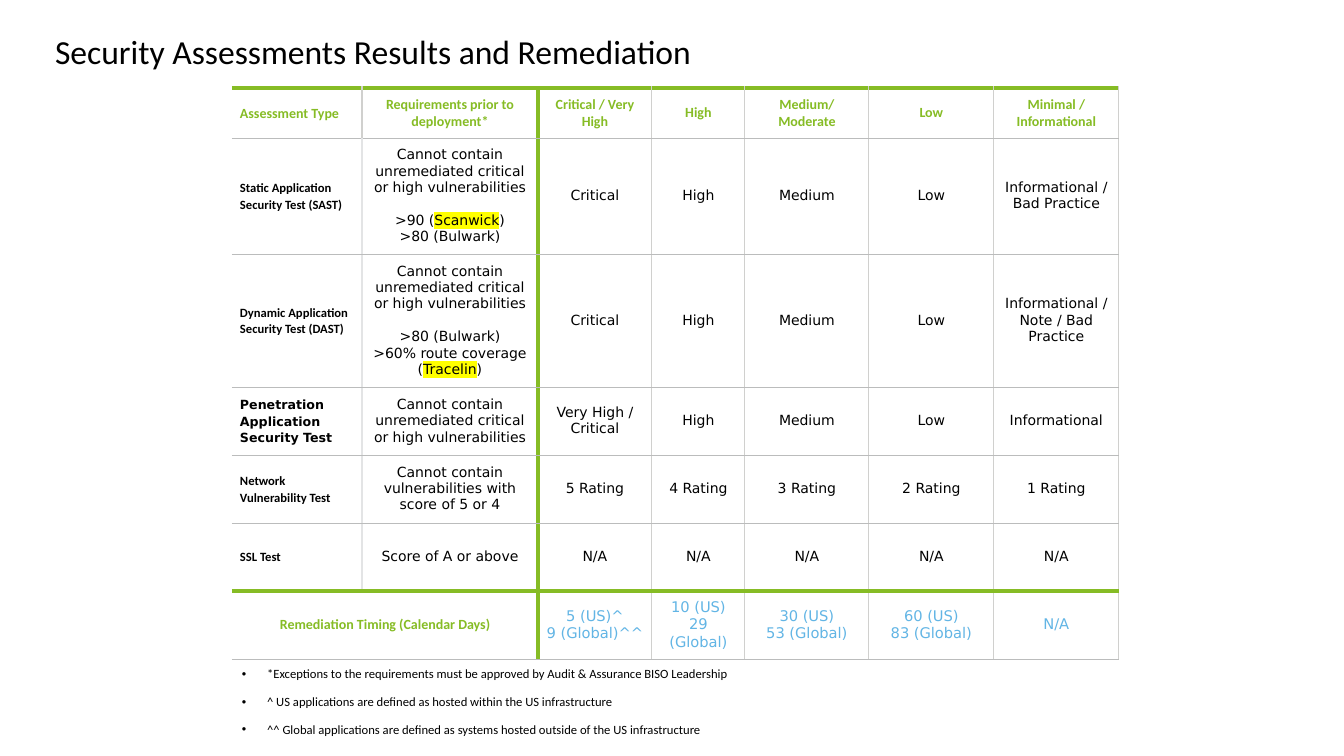
from itertools import accumulate
from pptx import Presentation
from pptx import util as u
from pptx.dml.color import RGBColor
from pptx.enum import text
from pptx.oxml import ns, xmlchemy

SCALE = 914400 / 100.8  # EMU per px
BLACK = RGBColor(0x00, 0x00, 0x00)
WHITE = RGBColor(0xFF, 0xFF, 0xFF)
GREEN = RGBColor(0x86, 0xBC, 0x25)
BLUE = RGBColor(0x62, 0xB5, 0xE5)
YELLOW = RGBColor(0xFF, 0xFF, 0x00)
GRAY = RGBColor(0xBB, 0xBC, 0xBC)
SILVER = RGBColor(0xD0, 0xD0, 0xCE)
PALE = RGBColor(0xE3, 0xE4, 0xE5)
CALIBRI, DEJAVU = "Calibri", "DejaVu Sans"
LEFT, CENTER = text.PP_ALIGN.LEFT, text.PP_ALIGN.CENTER

COLS = [130, 176, 114, 93, 124, 125, 125]
ROWS = [50, 116, 133, 68, 68, 68, 68]
LAST = len(ROWS) - 1
RULE = "Cannot contain unremediated critical or high vulnerabilities"
GRADES = ["High", "Medium", "Low"]

# A cell is a string, or a list of paragraphs that are each a list of runs;
# every second run of a paragraph is highlighted.
GRID = [
    ["Assessment Type", "Requirements prior to deployment*", "Critical / Very High",
     "High", "Medium/ Moderate", "Low", "Minimal / Informational"],
    ["Static Application Security Test (SAST)",
     [[RULE], [">90 (", "Scanwick", ")"], [">80 (Bulwark)"]],
     "Critical", *GRADES, "Informational / Bad Practice"],
    ["Dynamic Application Security Test (DAST)",
     [[RULE], [">80 (Bulwark)"], [">60% route coverage (", "Tracelin", ")"]],
     "Critical", *GRADES, "Informational / Note / Bad Practice"],
    ["Penetration Application Security Test", RULE,
     "Very High / Critical", *GRADES, "Informational"],
    ["Network Vulnerability Test", "Cannot contain vulnerabilities with score of 5 or 4",
     *[f"{n} Rating" for n in range(5, 0, -1)]],
    ["SSL Test", "Score of A or above", *["N/A"] * 5],
    ["Remediation Timing (Calendar Days)", None,
     [["5 (US)^"], ["9 (Global)^^"]], [["10 (US)"], ["29 (Global)"]],
     [["30 (US)"], ["53 (Global)"]], [["60 (US)"], ["83 (Global)"]], "N/A"],
]
NOTES = [
    "*Exceptions to the requirements must be approved by Audit & Assurance BISO Leadership",
    "^ US applications are defined as hosted within the US infrastructure",
    "^^ Global applications are defined as systems hosted outside of the US infrastructure",
]


def px(n):
    return u.Emu(round(n * SCALE))


def make(parent, tag, **attrs):
    """Append a drawing element to a parent."""
    node = xmlchemy.OxmlElement(tag)
    for key, value in attrs.items():
        node.set(key, str(value))
    parent.append(node)
    return node


def add_run(para, words, face, size, color, bold=False, mark=False):
    run = para.add_run()
    run.text = words
    font = run.font
    font.name, font.size, font.bold = face, u.Pt(size), bold
    font.color.rgb = color
    if mark:
        props = run._r.get_or_add_rPr()
        glow = make(props, "a:highlight")
        make(glow, "a:srgbClr", val=YELLOW)
        props.find(ns.qn("a:solidFill")).addnext(glow)


def set_edges(cell, row, col):
    """Draw the four borders by their place in the grid."""
    def upright(edge):
        if edge == 0 or (row == LAST and edge == 1):
            return None
        if edge == 2:
            return GREEN, 3
        return (PALE if edge == 1 and row else SILVER), 1

    def level(edge):
        return (GREEN, 3) if edge in (0, LAST) else (GRAY, 0.5)

    right = 2 if (row, col) == (LAST, 0) else col + 1
    sides = {"L": upright(col), "R": upright(right), "T": level(row), "B": level(row + 1)}
    props = cell._tc.get_or_add_tcPr()
    for side, look in sides.items():
        if look is None:
            make(make(props, f"a:ln{side}"), "a:noFill")
            continue
        color, width = look
        line = make(props, f"a:ln{side}", w=u.Pt(width))
        make(make(line, "a:solidFill"), "a:srgbClr", val=color)


def get_style(row, col):
    """Return face, size, colour, bold for a cell."""
    if row == 0 or (row == LAST and col == 0):
        return CALIBRI, 10, GREEN, True
    if col == 0:
        return (DEJAVU if row == 3 else CALIBRI), 9, BLACK, True
    if row == LAST:
        return DEJAVU, 10.5, BLUE, False
    return DEJAVU, 10, BLACK, False


def fill_cell(cell, row, col):
    cell.vertical_anchor = text.MSO_ANCHOR.MIDDLE
    cell.margin_left = cell.margin_right = px(8)
    cell.margin_top = cell.margin_bottom = px(7)
    set_edges(cell, row, col)
    cell.fill.solid()
    cell.fill.fore_color.rgb = WHITE
    words = GRID[row][col]
    if words is None:
        return
    paras = [[words]] if isinstance(words, str) else words
    name = col == 0 and row != LAST
    frame = cell.text_frame
    for i, runs in enumerate(paras):
        para = frame.paragraphs[0] if i == 0 else frame.add_paragraph()
        para.alignment = LEFT if name else CENTER
        if name:
            para.line_spacing = 1.1
        if i == 1 and col == 1:
            para.space_before = u.Pt(12)
        for j, part in enumerate(runs):
            add_run(para, part, *get_style(row, col), mark=j % 2 == 1)


def add_grid(slide, left, top):
    frame = slide.shapes.add_table(len(ROWS), len(COLS), px(left), px(top),
                                   px(sum(COLS)), px(sum(ROWS)))
    table = frame.table
    table.first_row = table.horz_banding = False
    for part, sizes in ((table.columns, COLS), (table.rows, ROWS)):
        ends = [px(n) for n in accumulate(sizes, initial=0)]
        for i, item in enumerate(part):
            span = u.Emu(ends[i + 1] - ends[i])
            if part is table.rows:
                item.height = span
            else:
                item.width = span
    table.cell(LAST, 0).merge(table.cell(LAST, 1))
    for row in range(len(ROWS)):
        for col in range(len(COLS)):
            fill_cell(table.cell(row, col), row, col)


def set_title(slide, words):
    title = slide.shapes.title
    title.left, title.top, title.width, title.height = map(px, (55, 35, 1234, 37))
    frame = title.text_frame
    frame.margin_left = frame.margin_right = frame.margin_top = frame.margin_bottom = 0
    frame.vertical_anchor = text.MSO_ANCHOR.MIDDLE
    frame.auto_size = text.MSO_AUTO_SIZE.NONE
    para = frame.paragraphs[0]
    para.alignment, para.line_spacing = LEFT, 0.9
    add_run(para, words, CALIBRI, 24, BLACK)


def add_notes(slide, left, top, width, height):
    frame = slide.shapes.add_textbox(*map(px, (left, top, width, height))).text_frame
    frame.word_wrap = True
    for i, words in enumerate(NOTES):
        para = frame.paragraphs[0] if i == 0 else frame.add_paragraph()
        para.line_spacing = 0.9
        if i:
            para.space_before = u.Pt(10)
        props = para._p.get_or_add_pPr()
        props.set("marL", str(u.Inches(0.25)))
        props.set("indent", str(-u.Inches(0.25)))
        make(props, "a:buFont", typeface="Arial")
        make(props, "a:buChar", char="•")
        add_run(para, words, CALIBRI, 9, BLACK)


def main():
    deck = Presentation()
    deck.slide_width, deck.slide_height = px(1344), px(756)
    slide = deck.slides.add_slide(deck.slide_layouts[5])
    # Results table
    add_grid(slide, 232, 88)
    # Title and footnotes
    set_title(slide, "Security Assessments Results and Remediation")
    add_notes(slide, 232, 663, 925, 29)
    deck.save("out.pptx")


if __name__ == "__main__":
    main()
